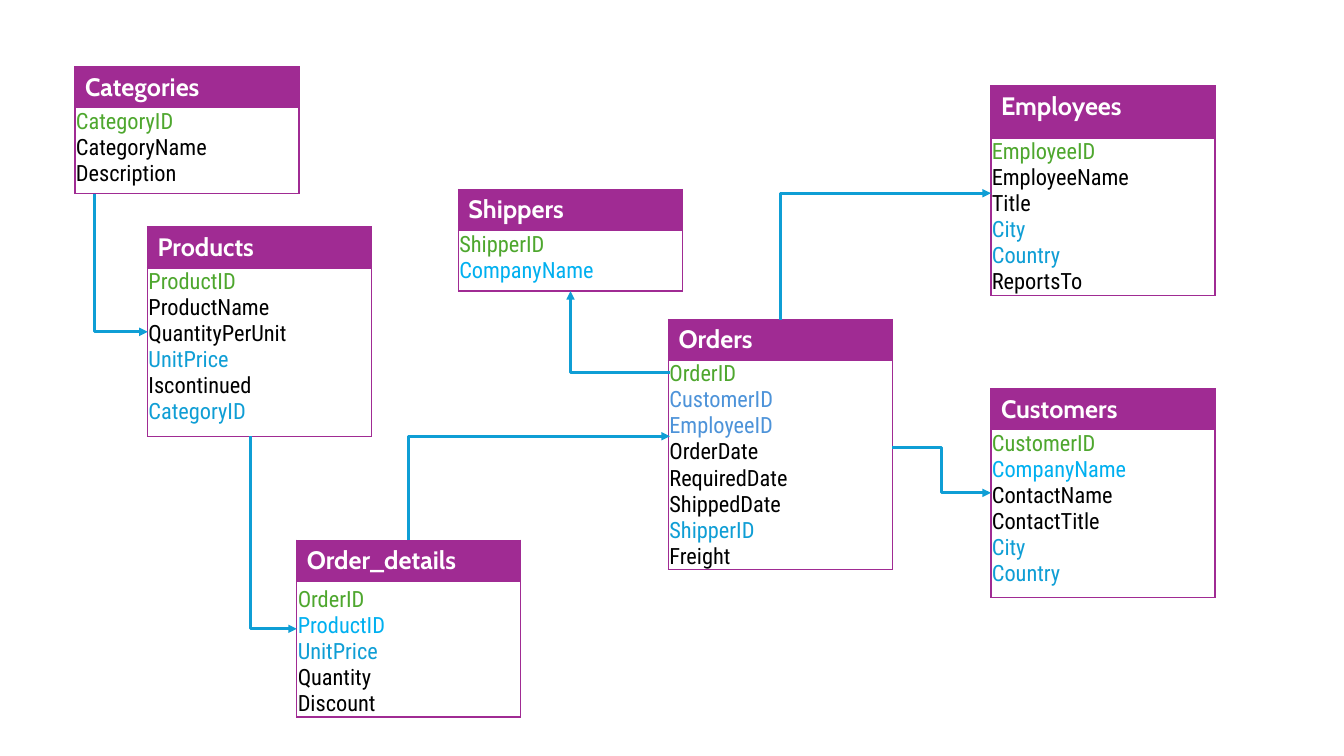
"""Build a slide with the entity diagram of a sales database."""
from math import copysign

from lxml.etree import SubElement
from pptx import Presentation
from pptx.dml.color import RGBColor
from pptx.enum.shapes import MSO_CONNECTOR
from pptx.enum.text import MSO_ANCHOR
from pptx.oxml.ns import qn
from pptx.util import Pt

PURPLE, WHITE, BLACK = "A02B93", "FFFFFF", "000000"
GREEN, BLUE, SKY, SOFT = "4EA72E", "0F9ED5", "00B0F0", "4D93D9"
TABLE_WIDTH = 160


def color(value):
    return RGBColor.from_string(value)


def style_cell(cell, fill, font_name, size, bold, colors):
    properties = cell._tc.get_or_add_tcPr()
    for side in ("a:lnL", "a:lnR", "a:lnT", "a:lnB"):
        border = SubElement(properties, qn(side), w=str(Pt(1)))
        border_fill = SubElement(border, qn("a:solidFill"))
        SubElement(border_fill, qn("a:srgbClr"), val=PURPLE)
    cell.fill.solid()
    cell.fill.fore_color.rgb = color(fill)
    for paragraph, text_color in zip(cell.text_frame.paragraphs, colors):
        font = paragraph.runs[0].font
        font.name, font.size, font.bold = font_name, Pt(size), bold
        font.color.rgb = color(text_color)


presentation = Presentation()
presentation.slide_width, presentation.slide_height = Pt(960), Pt(540)
slide = presentation.slides.add_slide(presentation.slide_layouts[6])

entities = [
    ("Orders", 477.5, 228.1, 29.2, 148.8, MSO_ANCHOR.BOTTOM, [
        ("OrderID", GREEN), ("CustomerID", SOFT), ("EmployeeID", SOFT),
        ("OrderDate", BLACK), ("RequiredDate", BLACK), ("ShippedDate", BLACK),
        ("ShipperID", BLUE), ("Freight", BLACK)]),
    ("Order_details", 212, 385.8, 29.5, 96.9, MSO_ANCHOR.BOTTOM, [
        ("OrderID", GREEN), ("ProductID", SKY), ("UnitPrice", BLUE),
        ("Quantity", BLACK), ("Discount", BLACK)]),
    ("Customers", 707.8, 277.8, 29.2, 120, MSO_ANCHOR.TOP, [
        ("CustomerID", GREEN), ("CompanyName", SKY), ("ContactName", BLACK),
        ("ContactTitle", BLACK), ("City", BLUE), ("Country", BLUE)]),
    ("Products", 105.4, 162.2, 29.2, 120.2, MSO_ANCHOR.TOP, [
        ("ProductID", GREEN), ("ProductName", BLACK), ("QuantityPerUnit", BLACK),
        ("UnitPrice", BLUE), ("Iscontinued", BLACK), ("CategoryID", BLUE)]),
    ("Categories", 53.6, 47.8, 29.3, 61, MSO_ANCHOR.TOP, [
        ("CategoryID", GREEN), ("CategoryName", BLACK), ("Description", BLACK)]),
    ("Employees", 707.8, 61.3, 37.4, 111.8, MSO_ANCHOR.TOP, [
        ("EmployeeID", GREEN), ("EmployeeName", BLACK), ("Title", BLACK),
        ("City", BLUE), ("Country", BLUE), ("ReportsTo", BLACK)]),
    ("Shippers", 327.4, 135.4, 29.2, 43.2, MSO_ANCHOR.TOP, [
        ("ShipperID", GREEN), ("CompanyName", SKY)]),
]

for title, left, top, header_height, body_height, anchor, fields in entities:
    table = slide.shapes.add_table(2, 1, Pt(left), Pt(top), Pt(TABLE_WIDTH),
                                   Pt(header_height + body_height)).table
    table.horz_banding = False
    table.rows[0].height, table.rows[1].height = Pt(header_height), Pt(body_height)
    header, body = table.cell(0, 0), table.cell(1, 0)

    header.text_frame.text = title
    style_cell(header, PURPLE, "Cabin", 18, True, [WHITE])

    body.text_frame.text = "\n".join(field for field, _ in fields)
    body.margin_left = body.margin_right = body.margin_top = Pt(0.7)
    body.margin_bottom = Pt(0)
    body.vertical_anchor = anchor
    style_cell(body, WHITE, "Roboto Condensed", 16, False,
               [field_color for _, field_color in fields])

relations = [
    ("down", 67.3, 138.5, 105.5, 237),
    ("down", 179, 311.5, 212, 449.2),
    ("up", 291.5, 386, 478.5, 311.6),
    ("sideways", 478.5, 266, 407.5, 208),
    ("step", 637.5, 319.5, 707.8, 352),
    ("up", 557.5, 228.5, 707.8, 138),
]
rotations = {"down": 270, "up": 90}

for route, start_x, start_y, end_x, end_y in relations:
    if route in rotations:
        center_x, center_y = (start_x + end_x) / 2, (start_y + end_y) / 2
        half_width = abs(end_y - start_y) / 2
        half_height = copysign((end_x - start_x) / 2, end_y - start_y)
        start_x, end_x = center_x + half_width, center_x - half_width
        start_y, end_y = center_y - half_height, center_y + half_height
    connector = slide.shapes.add_connector(
        MSO_CONNECTOR.ELBOW, Pt(start_x), Pt(start_y), Pt(end_x), Pt(end_y))
    connector.line.color.rgb = color(BLUE)
    connector.line.width = Pt(2)
    properties = connector._element.spPr
    if route in rotations:
        properties.find(qn("a:xfrm")).set("rot", str(rotations[route] * 60000))
    if route != "step":
        properties.find(qn("a:prstGeom")).set("prst", "bentConnector2")
    SubElement(connector.line._get_or_add_ln(), qn("a:tailEnd"), type="triangle")
    SubElement(properties, qn("a:effectLst"))

presentation.save("out.pptx")
